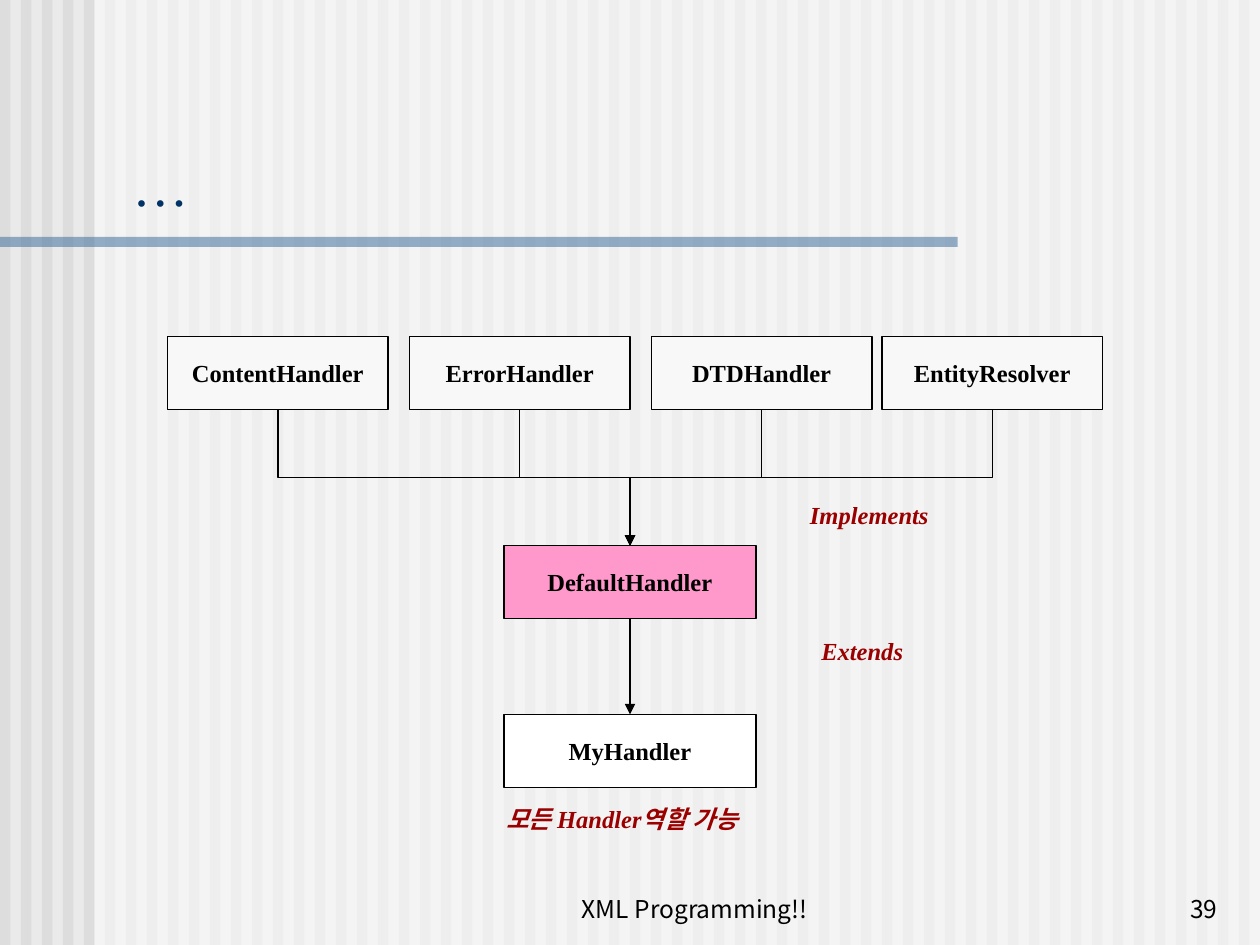
from lxml import etree
from pptx import Presentation
from pptx.dml.color import RGBColor
from pptx.enum.shapes import MSO_CONNECTOR, MSO_SHAPE
from pptx.enum.text import MSO_ANCHOR, PP_ALIGN
from pptx.oxml.ns import qn
from pptx.util import Inches, Pt

RECT = MSO_SHAPE.RECTANGLE
ELBOW, STRAIGHT = MSO_CONNECTOR.ELBOW, MSO_CONNECTOR.STRAIGHT
LEFT, CENTER, RIGHT = PP_ALIGN.LEFT, PP_ALIGN.CENTER, PP_ALIGN.RIGHT
TOP, MIDDLE, BOTTOM = MSO_ANCHOR.TOP, MSO_ANCHOR.MIDDLE, MSO_ANCHOR.BOTTOM

BLACK = RGBColor(0, 0, 0)
WHITE = RGBColor(0xFF, 0xFF, 0xFF)
PAPER = RGBColor(0xEA, 0xEA, 0xEA)
STRIPE = RGBColor(0xDD, 0xDD, 0xDD)
BAR = RGBColor(0x33, 0x66, 0x99)
NAVY = RGBColor(0x00, 0x33, 0x66)
PINK = RGBColor(0xFF, 0x99, 0xCC)
PALE = RGBColor(0xF8, 0xF8, 0xF8)
RED = RGBColor(0x9A, 0, 0)

SERIF, SANS = "Times New Roman", "Noto Sans CJK KR"
TITLE = "…"
INTERFACES = [("ContentHandler", 1.33), ("ErrorHandler", 3.25),
              ("DTDHandler", 5.17), ("EntityResolver", 7)]
CLASSES = [("DefaultHandler", 4.33, PINK), ("MyHandler", 5.67, WHITE)]
NOTES = [("Implements", 6.33, 3.92, 1.14, False),
         ("Extends", 6.42, 5, 0.85, False),
         ("모든 Handler역할 가능", 3.92, 6.33, 2.5, True)]
FOOTERS = [("XML Programming!!", 3.93, 3.17, CENTER), ("39", 7.68, 2.08, RIGHT)]

INTERFACE_TOP, INTERFACE_W = 2.67, 1.75
CLASS_W, BOX_H, CENTER_X = 2, 0.58, 5
STRIPES, STRIPE_STEP = 60, 1 / 6


def write(tf, text, size, color, font=SERIF, align=LEFT, anchor=TOP,
          bold=False, italic=False, wrap=True):
    tf.word_wrap = wrap
    tf.vertical_anchor = anchor
    p = tf.paragraphs[0]
    p.alignment = align
    r = p.add_run()
    r.text = text
    r.font.name, r.font.size = font, Pt(size)
    r.font.bold, r.font.italic = bold, italic
    r.font.color.rgb = color
    etree.SubElement(r.font._element, qn("a:ea"), typeface=SANS)


def rect(s, x, y, w, h, color, alpha=None):
    sp = s.shapes.add_shape(RECT, Inches(x), Inches(y), Inches(w), Inches(h))
    sp.shadow.inherit = False
    sp.fill.solid()
    sp.fill.fore_color.rgb = color
    sp.line.fill.background()
    if alpha is not None:
        clr = sp._element.spPr.find(".//" + qn("a:srgbClr"))
        etree.SubElement(clr, qn("a:alpha"), val=str(alpha * 1000))
    return sp


def class_box(s, text, x, y, w, color):
    sp = rect(s, x, y, w, BOX_H, color)
    sp.line.color.rgb = BLACK
    sp.line.width = Pt(0.75)
    write(sp.text_frame, text, 14, BLACK, align=CENTER, anchor=MIDDLE,
          bold=True, wrap=False)


def text_box(s, text, x, y, w, h, color, **style):
    tb = s.shapes.add_textbox(Inches(x), Inches(y), Inches(w), Inches(h))
    write(tb.text_frame, text, 14, color, **style)


def arrow(s, kind, x1, y1, x2, y2):
    c = s.shapes.add_connector(kind, Inches(x1), Inches(y1), Inches(x2), Inches(y2))
    c.line.color.rgb = BLACK
    c.line.width = Pt(0.75)
    etree.SubElement(c.line._get_or_add_ln(), qn("a:tailEnd"), type="triangle")
    etree.SubElement(c._element.spPr, qn("a:effectLst"))
    return c


def elbow_down(s, x1, y1, x2, y2):
    dx, dy = abs(x2 - x1), y2 - y1
    x, y = (x1 + x2 - dy) / 2, (y1 + y2 - dx) / 2
    c = arrow(s, ELBOW, x, y, x + dy, y + dx)
    xfrm = c._element.spPr.find(qn("a:xfrm"))
    xfrm.set("rot", str((270 if x1 < x2 else 90) * 60000))
    if x1 < x2:
        xfrm.set("flipH", "1")


def main():
    prs = Presentation()
    prs.slide_width, prs.slide_height = Inches(10), Inches(7.5)
    s = prs.slides.add_slide(prs.slide_layouts[5])
    s.background.fill.solid()
    s.background.fill.fore_color.rgb = PAPER

    for i in range(STRIPES):
        rect(s, i * STRIPE_STEP, 0, STRIPE_STEP / 2, 7.5, STRIPE)
    rect(s, 0.75, 0, 9.25, 7.5, WHITE, alpha=50)
    rect(s, 0, 1.88, 7.6, 0.08, BAR, alpha=50)

    title = s.shapes.title
    title.left, title.top = Inches(0.95), Inches(0.21)
    title.width, title.height = Inches(8.93), Inches(1.57)
    write(title.text_frame, TITLE, 32, NAVY, anchor=BOTTOM)
    s.shapes._spTree.append(title._element)

    for text, x, w, align in FOOTERS:
        text_box(s, text, x, 6.88, w, 0.5, BLACK, font=SANS, align=align, anchor=BOTTOM)

    for text, x in INTERFACES:
        class_box(s, text, x, INTERFACE_TOP, INTERFACE_W, PALE)
    for text, y, color in CLASSES:
        class_box(s, text, CENTER_X - CLASS_W / 2, y, CLASS_W, color)

    default_top, my_top = [y for _, y, _ in CLASSES]
    for _, x in INTERFACES:
        elbow_down(s, x + INTERFACE_W / 2, INTERFACE_TOP + BOX_H, CENTER_X, default_top)
    arrow(s, STRAIGHT, CENTER_X, default_top + BOX_H, CENTER_X, my_top)

    for text, x, y, w, wrap in NOTES:
        text_box(s, text, x, y, w, 0.34, RED, bold=True, italic=True, wrap=wrap)

    prs.save("out.pptx")


if __name__ == "__main__":
    main()
